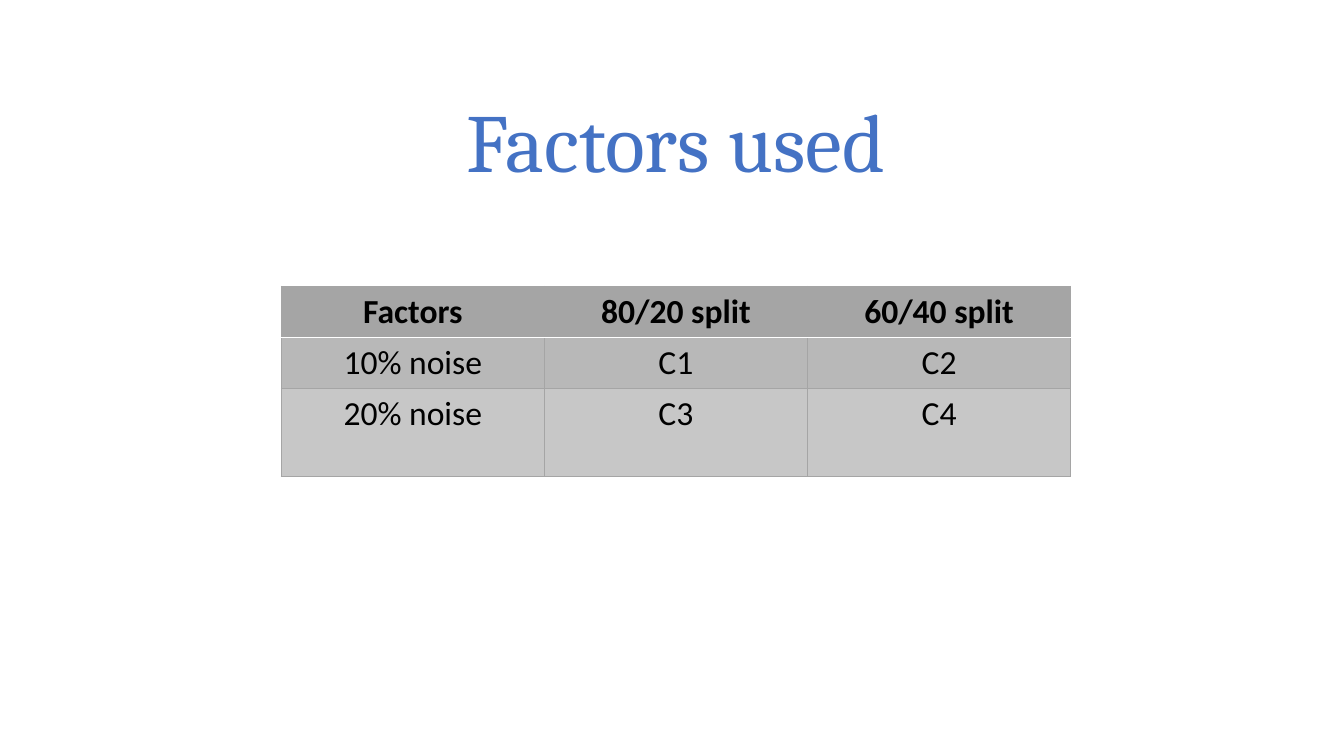
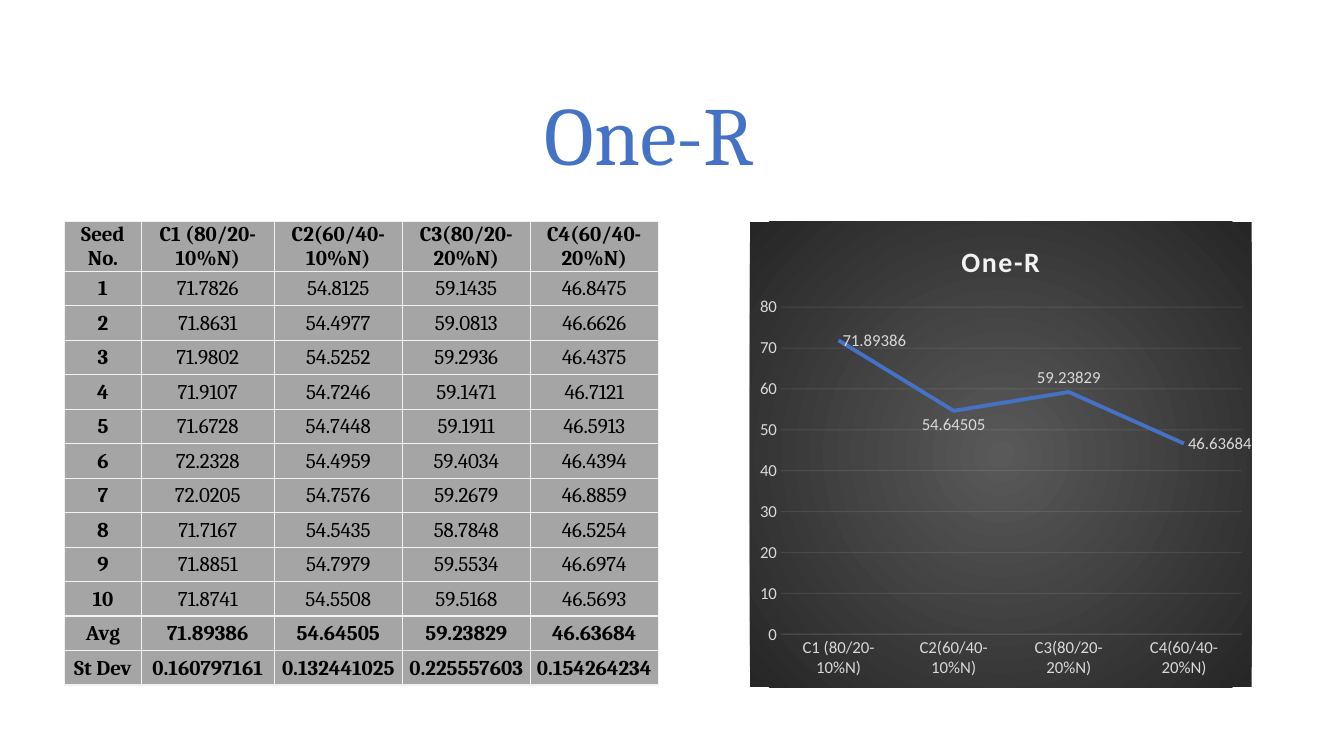
from dataclasses import dataclass
from lxml import etree
from pptx import Presentation
from pptx.chart.data import CategoryChartData as Data
from pptx.dml.color import RGBColor as RGB
from pptx.enum.chart import XL_CHART_TYPE as Kind, XL_LABEL_POSITION as Spot, XL_TICK_MARK as Tick
from pptx.enum.text import MSO_ANCHOR as Anchor, MSO_AUTO_SIZE as Auto, PP_ALIGN as Align
from pptx.oxml import parse_xml
from pptx.oxml.ns import nsdecls, qn
from pptx.util import Inches, Pt


@dataclass(frozen=True)
class Theme:
    serif: str = "Cambria"
    sans: str = "Calibri"
    blue: str = "4472C4"
    black: str = "000000"
    white: str = "FFFFFF"
    gray: str = "A5A5A5"
    mid: str = "B8B8B8"
    light: str = "C7C7C7"
    pale: str = "F2F2F2"
    label: str = "D9D9D9"
    glow: str = "595959"
    dark: str = "262626"
    head: int = 59
    large: int = 24
    chart: int = 20
    body: int = 15
    small: int = 12


T = Theme()
COLS, ROWS = 160, 90
WIDE, HIGH = Inches(13.3333), Inches(7.5)


def across(n):
    return round(WIDE * n / COLS)


def down(n):
    return round(HIGH * n / ROWS)


def style(font, size, color, face=T.sans, bold=False):
    font.size, font.name, font.bold = Pt(size), face, bold
    font.color.rgb = RGB.from_string(color)


def write(frame, text, align=Align.CENTER, space=None, **look):
    para = frame.paragraphs[0]
    para.alignment = align
    if space:
        para.line_spacing = space
    run = para.add_run()
    run.text = text
    style(run.font, **look)
    return run


def title(slide, text, left, top):
    head = slide.shapes.title
    head.left, head.top = across(left), down(top)
    head.width, head.height = across(147.72), down(17.4)
    frame = head.text_frame
    frame.word_wrap, frame.auto_size = True, Auto.NONE
    frame.vertical_anchor = Anchor.MIDDLE
    write(frame, text, space=0.9, size=T.head, color=T.blue, face=T.serif)


def border(cell, **sides):
    props = cell._tc.get_or_add_tcPr()
    for side in "LRTB":
        color, width = sides[side]
        line = etree.SubElement(props, qn(f"a:ln{side}"), w=str(Pt(width)))
        fill = etree.SubElement(line, qn("a:solidFill"))
        etree.SubElement(fill, qn("a:srgbClr"), val=color)


def grid(slide, left, top, cols, rows, cells, look, fills, line, rule=None, tight=False):
    table = slide.shapes.add_table(
        len(rows), len(cols), across(left), down(top), across(sum(cols)), down(sum(rows))).table
    table.first_row = table.horz_banding = False
    for col, size in zip(table.columns, cols):
        col.width = across(size)
    for row, size in zip(table.rows, rows):
        row.height = down(size)
    rule = rule or line
    for r, texts in enumerate(cells):
        for c, text in enumerate(texts):
            cell = table.cell(r, c)
            border(cell, L=line, R=line, T=rule if r == 1 else line, B=rule if r == 0 else line)
            cell.fill.solid()
            cell.fill.fore_color.rgb = RGB.from_string(fills[r])
            if tight:
                cell.margin_left = cell.margin_right = cell.margin_top = Inches(0.01)
                cell.margin_bottom = 0
                cell.vertical_anchor = Anchor.MIDDLE
            bold = r == 0 or tight and (c == 0 or r > len(rows) - 3)
            write(cell.text_frame, text, bold=bold, **look)


def faint(line):
    line.width = Pt(0.75)
    line.color.rgb = RGB.from_string(T.pale)
    for color in line._get_or_add_ln().iter(qn("a:srgbClr")):
        etree.SubElement(color, qn("a:alpha"), val="10000")


def shade(chart):
    fill = f"""<c:spPr {nsdecls("c", "a")}><a:gradFill><a:gsLst>
      <a:gs pos="0"><a:srgbClr val="{T.glow}"/></a:gs>
      <a:gs pos="100000"><a:srgbClr val="{T.dark}"/></a:gs></a:gsLst>
      <a:path path="circle"><a:fillToRect l="50000" t="50000" r="50000" b="50000"/></a:path>
      </a:gradFill><a:ln><a:noFill/></a:ln></c:spPr>"""
    chart._chartSpace.find(qn("c:chart")).addnext(parse_xml(fill))


def trend(slide, left, top, wide, high, name, cats, vals, spots):
    data = Data()
    data.categories = cats
    data.add_series("Series 1", vals)
    chart = slide.shapes.add_chart(
        Kind.LINE_STACKED, across(left), down(top), across(wide), down(high), data).chart
    shade(chart)
    note = dict(size=T.small, color=T.label)
    style(chart.font, **note)
    chart.has_legend = False
    chart.has_title = True
    run = write(chart.chart_title.text_frame, name, size=T.chart, color=T.pale, bold=True)
    run._r.get_or_add_rPr().set("spc", "100")
    chart.chart_title.include_in_layout = False
    cat, val = chart.category_axis, chart.value_axis
    for axis in (cat, val):
        axis.major_tick_mark = axis.minor_tick_mark = Tick.NONE
        style(axis.tick_labels.font, **note)
    faint(cat.format.line)
    faint(val.major_gridlines.format.line)
    val.format.line.fill.background()
    val.minimum_scale, val.maximum_scale, val.major_unit = 0, 80, 10
    plot = chart.plots[0]
    plot.vary_by_categories = False
    line = plot.series[0]
    line.smooth = False
    line.format.line.width = Pt(2.75)
    line.format.line.color.rgb = RGB.from_string(T.blue)
    line.data_labels.show_value = True
    style(line.data_labels.font, **note)
    for i, spot in enumerate(spots):
        tag = line.points[i].data_label
        style(tag.font, **note)
        tag.position = spot


def factors(slide):
    title(slide, "Factors used", 6.6, 8.64)
    cells = [
        ("Factors", "80/20 split", "60/40 split"),
        ("10% noise", "C1", "C2"),
        ("20% noise", "C3", "C4"),
    ]
    grid(slide, 33.48, 34.08, [31.33] * 3, [6.1, 6.1, 10.44], cells,
         dict(size=T.large, color=T.black), [T.gray, T.mid, T.light],
         (T.gray, 0.5), rule=(T.white, 1))


def scores(slide):
    name = "One-R"
    title(slide, name, 3.48, 7.8)
    cats = ["C1 (80/20-10%N)", "C2(60/40-10%N)", "C3(80/20-20%N)", "C4(60/40-20%N)"]
    seeds = [
        ("71.7826", "54.8125", "59.1435", "46.8475"),
        ("71.8631", "54.4977", "59.0813", "46.6626"),
        ("71.9802", "54.5252", "59.2936", "46.4375"),
        ("71.9107", "54.7246", "59.1471", "46.7121"),
        ("71.6728", "54.7448", "59.1911", "46.5913"),
        ("72.2328", "54.4959", "59.4034", "46.4394"),
        ("72.0205", "54.7576", "59.2679", "46.8859"),
        ("71.7167", "54.5435", "58.7848", "46.5254"),
        ("71.8851", "54.7979", "59.5534", "46.6974"),
        ("71.8741", "54.5508", "59.5168", "46.5693"),
    ]
    means = [71.89386, 54.64505, 59.23829, 46.63684]
    cells = [("Seed No.", *cats)]
    cells += [(str(n), *row) for n, row in enumerate(seeds, 1)]
    cells += [
        ("Avg", *map(str, means)),
        ("St Dev", "0.160797161", "0.132441025", "0.225557603", "0.154264234"),
    ]
    count = len(cells)
    grid(slide, 7.7, 26.4, [9.12, 15.84] + [15.24] * 3, [5.88] + [4.11] * (count - 1), cells,
         dict(size=T.body, color=T.black, face=T.serif), [T.gray] * count,
         (T.pale, 1), tight=True)
    trend(slide, 89.28, 26.4, 59.76, 55.44, name, cats, means,
          [Spot.RIGHT, Spot.BELOW, Spot.ABOVE, Spot.RIGHT])


deck = Presentation()
deck.slide_width, deck.slide_height = WIDE, HIGH
for build in (factors, scores):
    page = deck.slides.add_slide(deck.slide_layouts[5])
    build(page)
deck.save("out.pptx")
